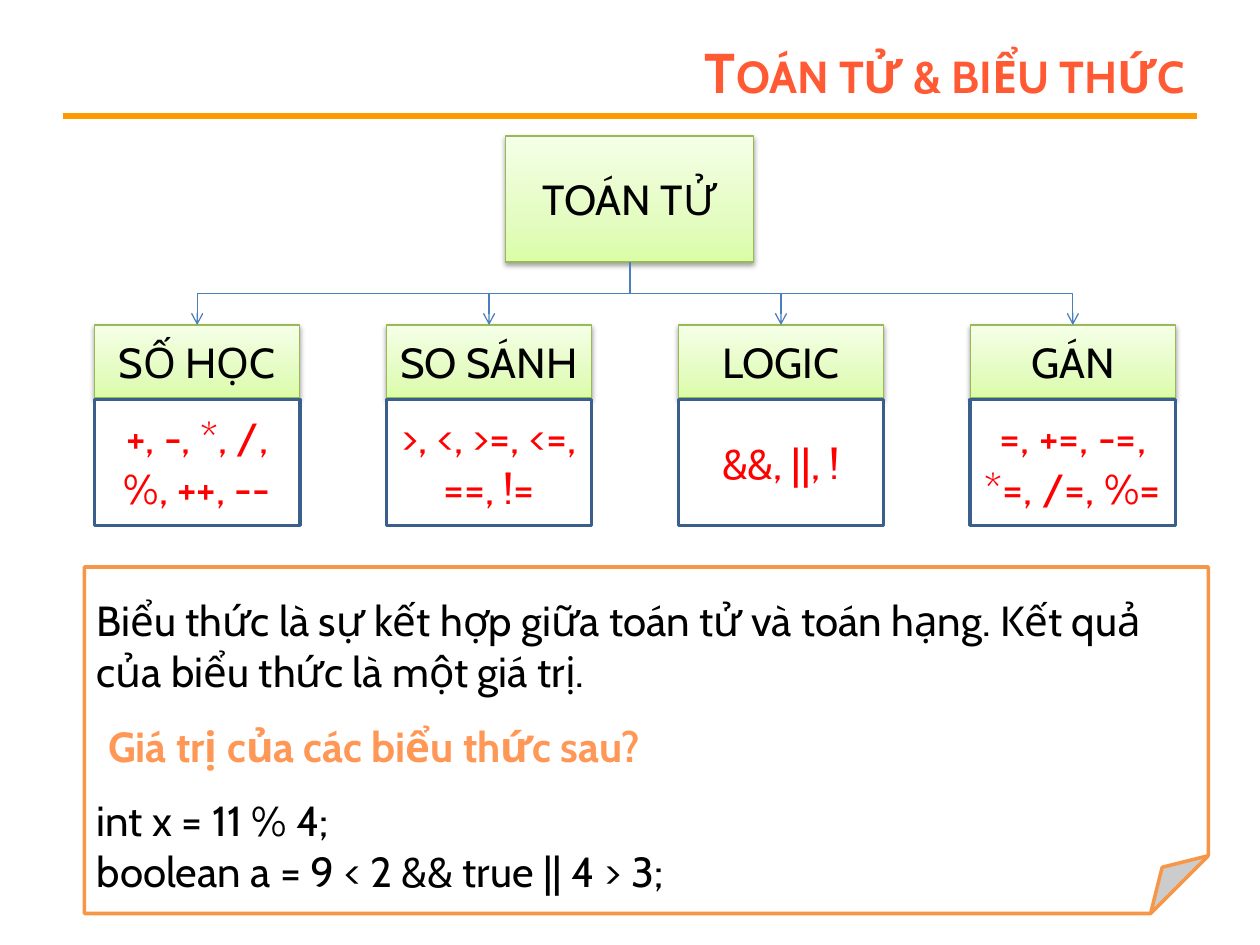
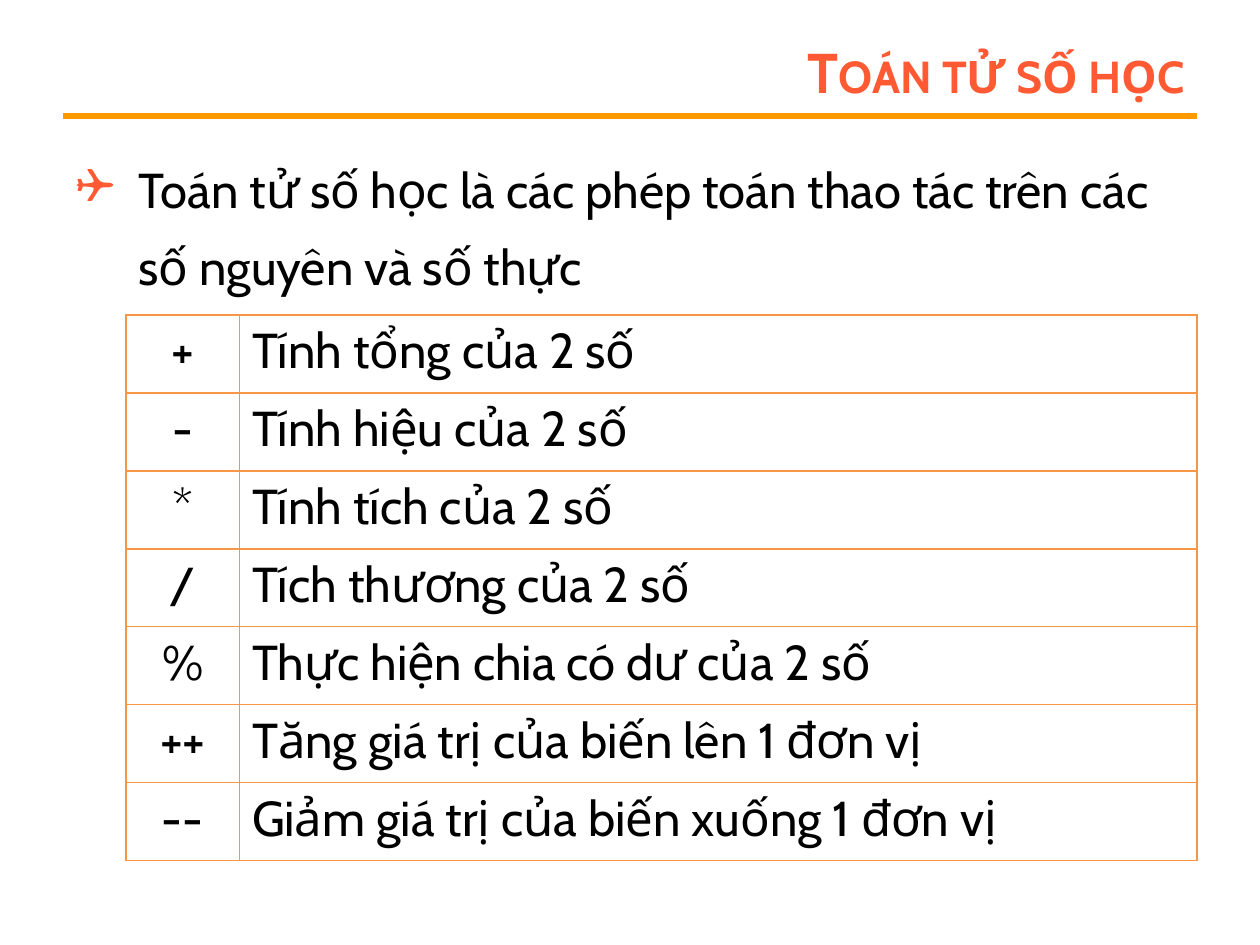
from lxml import etree
from pptx import Presentation
from pptx import util as u
from pptx.dml.color import RGBColor
from pptx.enum import shapes, text
from pptx.oxml.ns import qn

FONT = "Cabin"
BLACK, WHITE, RED = "000000", "FFFFFF", "FF0000"
TITLE_COLOR, RULE_COLOR, ORANGE = "FF5A33", "FF9900", "F79646"
GREEN_EDGE, BLUE_EDGE, ARROW_COLOR = "98B955", "3A5F8C", "4B7EBC"
GREEN_STOPS = [(0, "DAFDA7"), (35, "E4FCC2"), (100, "F5FFE7")]
QUESTION_STOPS = [(0, "9D4700"), (78, "FF9856"), (100, "FFF5F1")]
LEFT, CENTER, RIGHT = text.PP_ALIGN.LEFT, text.PP_ALIGN.CENTER, text.PP_ALIGN.RIGHT

OPERATOR_GROUPS = [
    ("SỐ HỌC", "+, -, *, /, %, ++, --"),
    ("SO SÁNH", ">, <, >=, <=, ==, !="),
    ("LOGIC", "&&, ||, !"),
    ("GÁN", "=, +=, -=, *=, /=, %="),
]
ARITHMETIC = [
    ("+", "Tính tổng của 2 số"),
    ("-", "Tính hiệu của 2 số"),
    ("*", "Tính tích của 2 số"),
    ("/", "Tích thương của 2 số"),
    ("%", "Thực hiện chia có dư của 2 số"),
    ("++", "Tăng giá trị của biến lên 1 đơn vị"),
    ("--", "Giảm giá trị của biến xuống 1 đơn vị"),
]


def rgb(value):
    """Turn a hex string into a colour."""
    return RGBColor.from_string(value)


def add_xml(parent, tag, **attributes):
    """Append a drawing element with its attributes."""
    return etree.SubElement(parent, qn(tag), {k: str(v) for k, v in attributes.items()})


def paint_gradient(fill, element, stops, angle):
    """Give a fill the listed (percent, colour) stops."""
    fill.gradient()
    fill.gradient_angle = angle
    stop_list = element.find(".//" + qn("a:gsLst"))
    for stop in list(stop_list):
        stop_list.remove(stop)
    for percent, color in stops:
        stop = add_xml(stop_list, "a:gs", pos=percent * 1000)
        add_xml(stop, "a:srgbClr", val=color)


def write(frame, content, size=24, color=BLACK, bold=False, align=LEFT,
          small_caps=False, gradient=None):
    """Fill a text frame, one paragraph for each line."""
    for number, line in enumerate(content.split("\n")):
        paragraph = frame.add_paragraph() if number else frame.paragraphs[0]
        paragraph.alignment = align
        run = paragraph.add_run()
        run.text = line
        font = run.font
        font.name, font.size, font.bold = FONT, u.Pt(size), bold
        if gradient:
            paint_gradient(font.fill, run._r, gradient, 270)
        else:
            font.color.rgb = rgb(color)
        if small_caps:
            run._r.get_or_add_rPr().set("cap", "small")


class Deck:
    """Hold the presentation, its style and the current slide."""

    def __init__(self):
        """Start an empty presentation."""
        self.presentation = Presentation()
        self.presentation.slide_width = u.Inches(10)
        self.presentation.slide_height = u.Inches(7.5)
        self.slide = None

    def start_slide(self, title, layout):
        """Add a slide with its title and rule."""
        self.slide = self.presentation.slides.add_slide(
            self.presentation.slide_layouts[layout])
        self.connector(shapes.MSO_CONNECTOR.STRAIGHT, 0.5, 0.92, 9.5, 0.92, RULE_COLOR, 3)
        frame = self.placeholder(self.slide.shapes.title, 2.25, 0.3, 7.25, 0.53)
        frame.vertical_anchor = text.MSO_ANCHOR.MIDDLE
        write(frame, title, size=32, color=TITLE_COLOR, bold=True, align=RIGHT,
              small_caps=True)

    def placeholder(self, shape, *box):
        """Move a placeholder and return its text frame."""
        shape.left, shape.top, shape.width, shape.height = map(u.Inches, box)
        shape.text_frame.auto_size = text.MSO_AUTO_SIZE.NONE
        shape.text_frame.word_wrap = True
        return shape.text_frame

    def bullet(self, content):
        """Write the body placeholder as one bulleted paragraph."""
        frame = self.placeholder(self.slide.placeholders[1], 0.5, 1.08, 9, 5.83)
        write(frame, content, size=28)
        paragraph = frame.paragraphs[0]
        paragraph.line_spacing = 1.3
        paragraph.space_before = u.Pt(5.6)
        properties = paragraph._p.get_or_add_pPr()
        properties.set("marL", str(u.Inches(0.5)))
        properties.set("indent", str(u.Inches(-0.5)))
        add_xml(add_xml(properties, "a:buClr"), "a:srgbClr", val=TITLE_COLOR)
        add_xml(properties, "a:buFont", typeface="Wingdings")
        add_xml(properties, "a:buChar", char="❑")

    def connector(self, kind, x1, y1, x2, y2, color, width):
        """Draw a line without a shadow."""
        line = self.slide.shapes.add_connector(kind, *map(u.Inches, (x1, y1, x2, y2)))
        line.line.color.rgb = rgb(color)
        line.line.width = u.Pt(width)
        add_xml(line._element.spPr, "a:effectLst")
        return line

    def branch(self, x1, y1, x2, y2):
        """Draw an elbow arrow that runs down, across and down."""
        drop, span = y2 - y1, abs(x2 - x1)
        left, top = (x1 + x2 - drop) / 2, (y1 + y2 - span) / 2
        start, end = left, left + drop
        if x2 > x1:
            start, end = end, start
        arrow = self.connector(shapes.MSO_CONNECTOR.ELBOW, start, top, end, top + span,
                               ARROW_COLOR, 0.75)
        turn = 270 if x2 > x1 else 90
        arrow._element.spPr.find(qn("a:xfrm")).set("rot", str(turn * 60000))
        add_xml(arrow.line._get_or_add_ln(), "a:tailEnd", type="arrow")

    def box(self, box, edge, width, content="", color=BLACK, green=False,
            kind=shapes.MSO_SHAPE.RECTANGLE):
        """Draw a white box, or a green one with a shadow."""
        shape = self.slide.shapes.add_shape(kind, *map(u.Inches, box))
        shape.shadow.inherit = False
        shape.line.color.rgb = rgb(edge)
        shape.line.width = u.Pt(width)
        if green:
            properties = shape._element.spPr
            paint_gradient(shape.fill, properties, GREEN_STOPS, 90)
            shadow = add_xml(properties.find(qn("a:effectLst")), "a:outerShdw",
                             blurRad=u.Pt(3.1), dist=u.Pt(1.6), dir=90 * 60000,
                             rotWithShape=0)
            add_xml(add_xml(shadow, "a:srgbClr", val=BLACK), "a:alpha", val=38000)
        else:
            shape.fill.solid()
            shape.fill.fore_color.rgb = rgb(WHITE)
        if content:
            shape.text_frame.word_wrap = True
            shape.text_frame.vertical_anchor = text.MSO_ANCHOR.MIDDLE
            write(shape.text_frame, content, color=color, align=CENTER)

    def label(self, box, content, wrap=True, **style):
        """Add a text box."""
        frame = self.slide.shapes.add_textbox(*map(u.Inches, box)).text_frame
        frame.word_wrap = wrap
        frame.auto_size = text.MSO_AUTO_SIZE.SHAPE_TO_FIT_TEXT
        write(frame, content, **style)

    def table(self, box, widths, rows):
        """Add a plain table with orange borders."""
        table = self.slide.shapes.add_table(
            len(rows), len(widths), *map(u.Inches, box)).table
        table.first_row = table.horz_banding = False
        for column, width in zip(table.columns, widths):
            column.width = u.Inches(width)
        for row_number, row in enumerate(rows):
            for column_number, content in enumerate(row):
                cell = table.cell(row_number, column_number)
                self.borders(cell)
                cell.fill.background()
                write(cell.text_frame, content, size=28,
                      align=LEFT if column_number else CENTER)

    def borders(self, cell):
        """Outline all four sides of a cell."""
        properties = cell._tc.get_or_add_tcPr()
        for side in "LRTB":
            line = add_xml(properties, "a:ln" + side, w=u.Pt(1))
            add_xml(add_xml(line, "a:solidFill"), "a:srgbClr", val=ORANGE)


def build_operators(deck):
    """Build the operator tree and the expression note."""
    deck.start_slide("Toán tử & biểu thức", 5)
    deck.box((0.67, 4.5, 8.92, 2.75), ORANGE, 2, kind=shapes.MSO_SHAPE.FOLDED_CORNER)
    deck.box((4.01, 1.08, 1.97, 1), GREEN_EDGE, 0.75, "TOÁN TỬ", green=True)
    width, step = 1.63, (7.7 - 0.75) / 3
    for number, (name, operators) in enumerate(OPERATOR_GROUPS):
        left = 0.75 + number * step
        deck.box((left, 2.58, width, 0.58), GREEN_EDGE, 0.75, name, green=True)
        deck.box((left, 3.17, width, 1), BLUE_EDGE, 2, operators, color=RED)
        deck.branch(5, 2.08, left + width / 2, 2.58)
    deck.label((0.67, 4.67, 8.55, 0.91),
               "Biểu thức là sự kết hợp giữa toán tử và toán hạng. "
               "Kết quả của biểu thức là một giá trị.")
    deck.label((0.67, 6.26, 8.58, 0.91),
               "int x = 11 % 4;\nboolean a = 9 < 2 && true || 4 > 3;")
    deck.label((0.58, 5.67, 4.78, 0.5), "Giá trị của các biểu thức sau?", wrap=False,
               bold=True, align=CENTER, gradient=QUESTION_STOPS)


def build_arithmetic(deck):
    """Build the table of arithmetic operators."""
    deck.start_slide("Toán tử số học", 1)
    deck.bullet("Toán tử số học là các phép toán thao tác trên các số nguyên và số thực")
    deck.table((1, 2.5, 8.5, 4.33), (0.9, 7.6), ARITHMETIC)


def main():
    """Build and save both slides."""
    deck = Deck()
    build_operators(deck)
    build_arithmetic(deck)
    deck.presentation.save("out.pptx")


if __name__ == "__main__":
    main()
